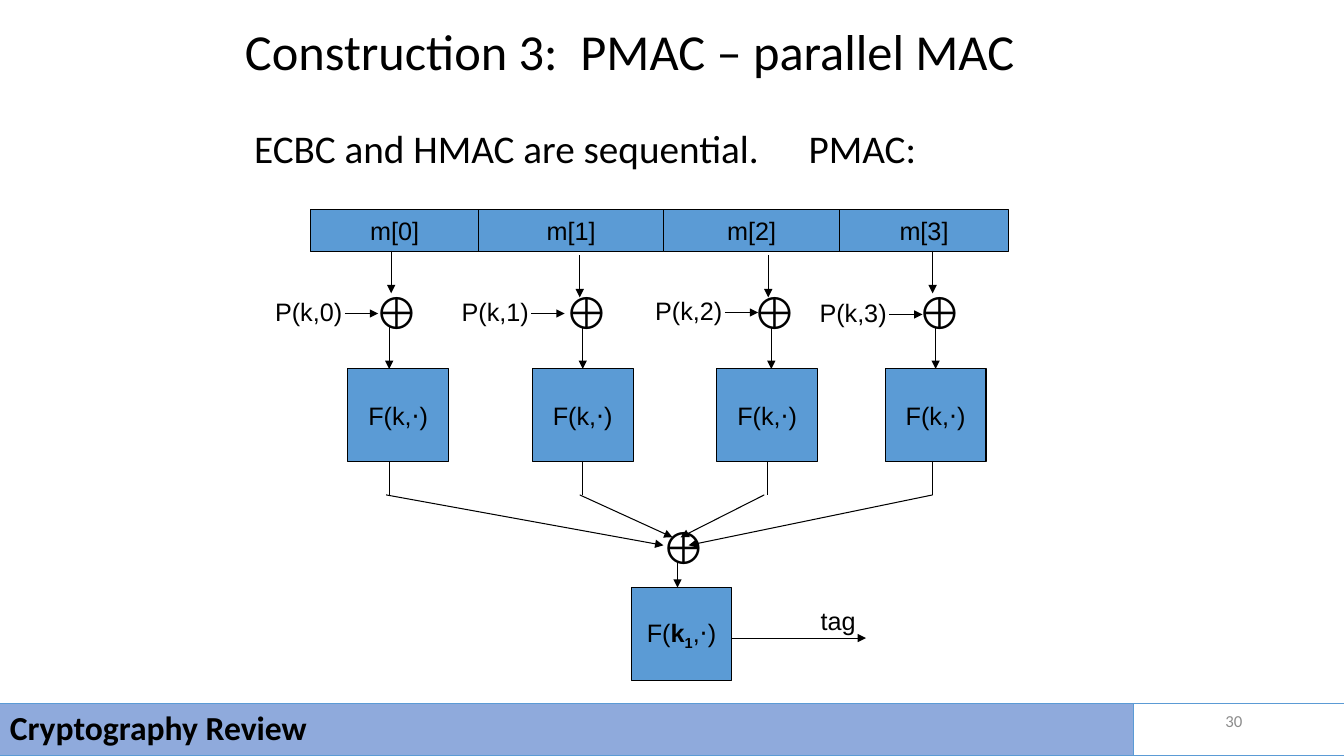
import dataclasses
import typing

import lxml.etree
import pptx
import pptx.dml.color
import pptx.enum.shapes
import pptx.enum.text
import pptx.oxml.ns
import pptx.util

Inches = pptx.util.Inches
Align = pptx.enum.text.PP_ALIGN
Anchor = pptx.enum.text.MSO_ANCHOR
Point = tuple[float, float]
Frame = tuple[float, float, float, float]


@dataclasses.dataclass(frozen=True)
class Theme:
    ink: str = "000000"
    box: str = "5B9BD5"
    bar: str = "8FAADC"
    gray: str = "8C8C8C"
    head: str = "Calibri"
    label: str = "Arial"
    title: float = 36
    xor: float = 32
    body: float = 28
    foot: float = 24
    text: float = 18
    page: float = 12
    line: float = 0.75


@dataclasses.dataclass(frozen=True)
class Lane:
    left: float
    width: float
    drop: Point
    xor: float
    key: Point
    box: float
    feed: float
    leg: float
    bend: float
    join: Point


THEME = Theme()
LANES = (
    Lane(3.08, 1.67, (3.88, 2.49), 3.62, (2.63, 2.89), 3.45, 3.86, 3.86, 3.83, (6.58, 5.41)),
    Lane(4.75, 1.83, (5.75, 2.53), 5.5, (4.48, 2.89), 5.28, 5.78, 5.78, 5.75, (6.67, 5.33)),
    Lane(6.58, 1.75, (7.62, 2.53), 7.37, (6.4, 2.88), 7.11, 7.65, 7.61, 7.58, (6.75, 5.33)),
    Lane(8.33, 1.67, (9.25, 2.49), 9.0, (8.03, 2.9), 8.78, 9.28, 9.25, 9.25, (6.83, 5.41)),
)


def tint(code: str) -> pptx.dml.color.RGBColor:
    return pptx.dml.color.RGBColor.from_string(code)


def add_node(parent: typing.Any, tag: str, **attrs: str) -> typing.Any:
    return lxml.etree.SubElement(parent, pptx.oxml.ns.qn(tag), **attrs)


def style(shape: typing.Any, size: float, face: str, shade: str = THEME.ink,
          align: Align = Align.LEFT) -> None:
    for para in shape.text_frame.paragraphs:
        para.alignment = align
        for run in para.runs:
            run.font.size = pptx.util.Pt(size)
            run.font.name = face
            run.font.color.rgb = tint(shade)


def place(shape: typing.Any, frame: Frame) -> None:
    shape.left, shape.top, shape.width, shape.height = map(Inches, frame)


def add_rect(slide: typing.Any, frame: Frame, fill: str | None, edge: str,
             text: str = "") -> typing.Any:
    rect = slide.shapes.add_shape(
        pptx.enum.shapes.MSO_SHAPE.RECTANGLE, *map(Inches, frame))
    rect.shadow.inherit = False
    if fill:
        rect.fill.solid()
        rect.fill.fore_color.rgb = tint(fill)
    else:
        rect.fill.background()
    rect.line.color.rgb = tint(edge)
    rect.line.width = pptx.util.Pt(THEME.line)
    rect.text_frame.vertical_anchor = Anchor.MIDDLE
    rect.text_frame.text = text
    return rect


def add_cell(slide: typing.Any, frame: Frame, text: str) -> typing.Any:
    cell = add_rect(slide, frame, THEME.box, THEME.ink, text)
    cell.text_frame.word_wrap = False
    style(cell, THEME.text, THEME.label, align=Align.CENTER)
    return cell


def add_label(slide: typing.Any, frame: Frame, text: str, size: float) -> None:
    label = slide.shapes.add_textbox(*map(Inches, frame))
    label.text_frame.text = text
    label.text_frame.word_wrap = False
    style(label, size, THEME.label)


def add_xor(slide: typing.Any, left: float, top: float) -> None:
    add_label(slide, (left, top, 0.54, 0.63), "⊕", THEME.xor)


def add_line(slide: typing.Any, start: Point, end: Point, arrow: bool = True) -> None:
    line = slide.shapes.add_connector(
        pptx.enum.shapes.MSO_CONNECTOR.STRAIGHT, *map(Inches, start + end))
    line.line.color.rgb = tint(THEME.ink)
    line.line.width = pptx.util.Pt(THEME.line)
    props = line._element.spPr
    if arrow:
        add_node(props.find(pptx.oxml.ns.qn("a:ln")), "a:tailEnd", type="triangle")
    add_node(props, "a:effectLst")


def add_lane(slide: typing.Any, index: int, lane: Lane) -> None:
    add_cell(slide, (lane.left, 2.08, lane.width, 0.42), f"m[{index}]")
    add_xor(slide, lane.xor, 2.78)
    x, y = lane.drop
    add_line(slide, lane.drop, (x, y + 0.42))
    x, y = lane.key
    add_label(slide, (x, y, 0.87, 0.4), f"P(k,{index})", THEME.text)
    add_line(slide, (x + 0.79, y + 0.22), (x + 1.12, y + 0.22))
    add_cell(slide, (lane.box, 3.66, 1, 0.92), "F(k,⋅)")
    add_line(slide, (lane.feed, 3.24), (lane.feed, 3.66))
    add_line(slide, (lane.leg, 4.58), (lane.leg, 4.91), arrow=False)
    add_line(slide, (lane.bend, 4.91), lane.join)


def add_tag(slide: typing.Any) -> None:
    add_xor(slide, 6.46, 5.11)
    add_line(slide, (6.72, 5.58), (6.72, 5.83))
    cell = add_cell(slide, (6.26, 5.83, 1, 0.92), "F(")
    para = cell.text_frame.paragraphs[0]
    for text, bold in (("k", True), ("1", True), (",⋅)", False)):
        run = para.add_run()
        run.text = text
        run.font.bold = bold
    para.runs[2]._r.get_or_add_rPr().set("baseline", "-25000")
    style(cell, THEME.text, THEME.label, align=Align.CENTER)
    add_line(slide, (7.26, 6.33), (8.59, 6.33))
    add_label(slide, (8.04, 5.96, 0.55, 0.4), "tag", THEME.text)


def add_heads(slide: typing.Any) -> None:
    title, body = slide.placeholders
    place(title, (2.33, 0.08, 8.5, 0.92))
    title.text_frame.text = "Construction 3:  PMAC – parallel MAC"
    title.text_frame.vertical_anchor = Anchor.MIDDLE
    style(title, THEME.title, THEME.head)
    place(body, (2.42, 1.24, 9, 5.08))
    body.text_frame.text = "ECBC and HMAC are sequential.\tPMAC:"
    para = body.text_frame.paragraphs[0]
    para.space_before = pptx.util.Pt(0)
    props = para._p.get_or_add_pPr()
    props.set("marL", "0")
    props.set("indent", "0")
    add_node(props, "a:buNone")
    tabs = add_node(props, "a:tabLst")
    add_node(tabs, "a:tab", pos=str(Inches(5.7)), algn="l")
    style(body, THEME.body, THEME.head)
    for shape in (title, body):
        shape.text_frame.auto_size = pptx.enum.text.MSO_AUTO_SIZE.NONE
        shape.text_frame.paragraphs[0].line_spacing = 0.9


def add_foot(slide: typing.Any) -> None:
    bar = add_rect(slide, (0, 6.98, 11.24, 0.52), THEME.bar, THEME.box, "Cryptography Review")
    style(bar, THEME.foot, THEME.head)
    para = bar.text_frame.paragraphs[0]
    para.line_spacing = 0.9
    para.runs[0].font.bold = True
    add_rect(slide, (11.24, 6.98, 2.1, 0.52), None, THEME.box)
    page = slide.shapes.add_textbox(*map(Inches, (9.42, 6.95, 3, 0.4)))
    page.text_frame.text = "30"
    page.text_frame.word_wrap = True
    page.text_frame.vertical_anchor = Anchor.MIDDLE
    style(page, THEME.page, THEME.head, THEME.gray, Align.RIGHT)


def main() -> None:
    deck = pptx.Presentation()
    deck.slide_width = Inches(13.33)
    deck.slide_height = Inches(7.5)
    slide = deck.slides.add_slide(deck.slide_layouts[1])
    add_heads(slide)
    for index, lane in enumerate(LANES):
        add_lane(slide, index, lane)
    add_tag(slide)
    add_foot(slide)
    deck.save("out.pptx")


if __name__ == "__main__":
    main()
